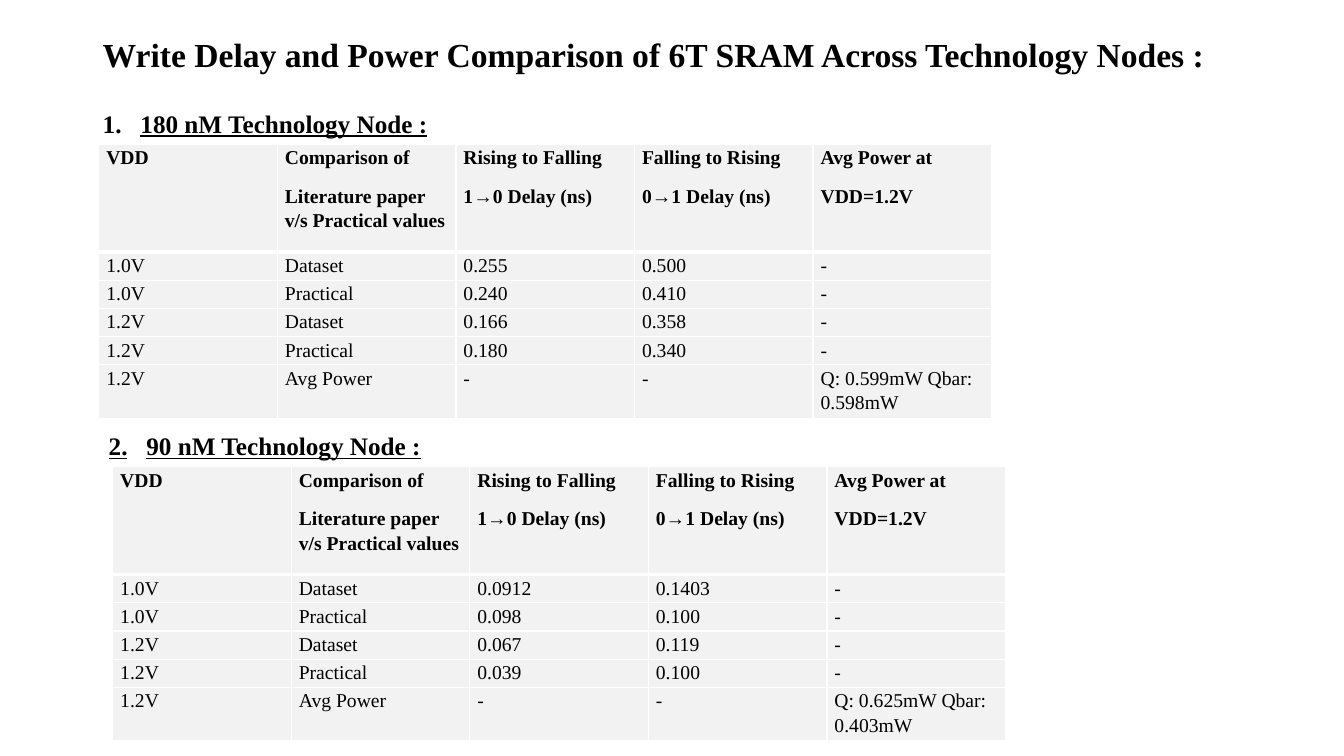
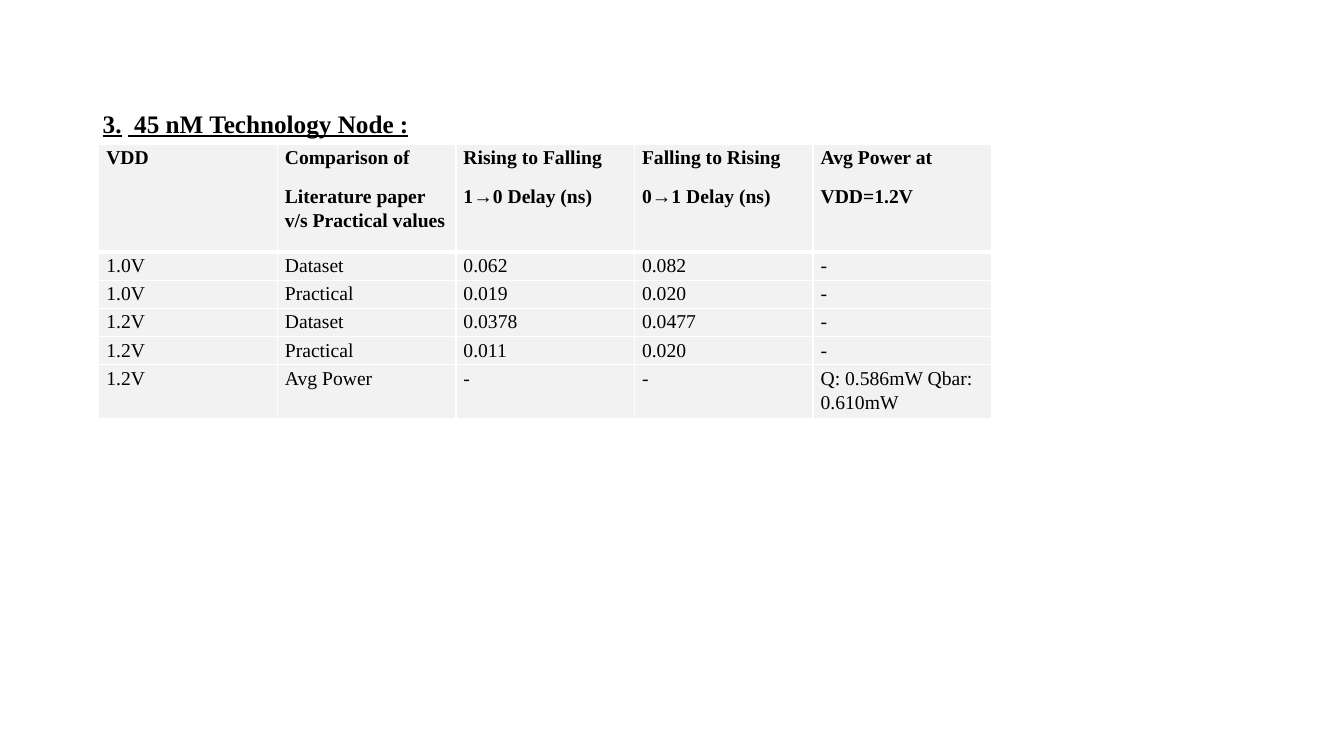
from pptx import Presentation
from pptx.dml.color import RGBColor
from pptx.enum.text import MSO_ANCHOR
from pptx.oxml.ns import qn
from pptx.util import Cm, Pt
from lxml import etree

MIDDLE = MSO_ANCHOR.MIDDLE
FONT = "Times New Roman"
COLORS = {"text": "000000", "cell": "F2F2F2", "border": "FFFFFF"}

TITLE = "Write Delay and Power Comparison of 6T SRAM Across Technology Nodes :"
HEADER = [
    "VDD",
    "Comparison of\nLiterature paper v/s Practical values",
    "Rising to Falling\n1→0 Delay (ns)",
    "Falling to Rising\n0→1 Delay (ns)",
    "Avg Power at\nVDD=1.2V",
]
MEASUREMENTS = [("1.0V", "Dataset"), ("1.0V", "Practical"),
                ("1.2V", "Dataset"), ("1.2V", "Practical")]

# heading: number, gap, text; an empty number means automatic numbering
NODE_180 = {
    "heading": ("", "", "180 nM Technology Node :"),
    "delays": [("0.255", "0.500"), ("0.240", "0.410"),
               ("0.166", "0.358"), ("0.180", "0.340")],
    "power": "Q: 0.599mW Qbar: 0.598mW",
}
NODE_90 = {
    "heading": ("2.", "\t", "90 nM Technology Node :"),
    "delays": [("0.0912", "0.1403"), ("0.098", "0.100"),
               ("0.067", "0.119"), ("0.039", "0.100")],
    "power": "Q: 0.625mW Qbar: 0.403mW",
}
NODE_45 = {
    "heading": ("3.", " ", " 45 nM Technology Node :"),
    "delays": [("0.062", "0.082"), ("0.019", "0.020"),
               ("0.0378", "0.0477"), ("0.011", "0.020")],
    "power": "Q: 0.586mW Qbar: 0.610mW",
}

# positions in cm: heading left, table left, table top
UPPER = (2.34, 2.49, 3.63)
LOWER = (2.49, 2.84, 11.76)
SLIDES = [
    (TITLE, [(NODE_180, UPPER), (NODE_90, LOWER)]),
    (None, [(NODE_45, UPPER)]),
]

COL_WIDTH = 4.5
ROW_HEIGHTS = [2.72] + [0.71] * len(MEASUREMENTS) + [1.35]
HEADING_RISE = 1.03
HANGING = Cm(0.95)


def style_run(r, size, bold=True, underline=False):
    r.font.name = FONT
    r.font.size = Pt(size)
    r.font.bold = bold
    r.font.underline = underline
    r.font.color.rgb = RGBColor.from_string(COLORS["text"])


def add_box(s, left, top, width, height):
    tf = s.shapes.add_textbox(Cm(left), Cm(top), Cm(width), Cm(height)).text_frame
    tf.word_wrap = True
    return tf


def add_title(s, text):
    tf = add_box(s, 2.34, 0.03, 30.89, 2.79)
    tf.vertical_anchor = MIDDLE
    tf.text = text
    p = tf.paragraphs[0]
    p.line_spacing = 0.9
    style_run(p.runs[0], 24)


def add_heading(s, heading, left, top):
    number, gap, text = heading
    p = add_box(s, left, top, 11.28, 1.02).paragraphs[0]
    pPr = p._p.get_or_add_pPr()
    pPr.set("marL", str(HANGING))
    pPr.set("indent", str(-HANGING))
    if not number:
        etree.SubElement(pPr, qn("a:buFont"), typeface="+mj-lt")
        etree.SubElement(pPr, qn("a:buAutoNum"), type="arabicPeriod")
    for part in filter(None, heading):
        r = p.add_run()
        r.text = part
        style_run(r, 18, underline=part != gap)


def set_borders(cell, top, bottom):
    """Draw the four cell borders; top and bottom are widths in points."""
    tcPr = cell._tc.get_or_add_tcPr()
    sides = [("L", 1), ("R", 1), ("T", top), ("B", bottom)]
    for i, (side, width) in enumerate(sides):
        ln = etree.Element(qn(f"a:ln{side}"), w=str(Pt(width)))
        fill = etree.SubElement(ln, qn("a:solidFill"))
        etree.SubElement(fill, qn("a:srgbClr"), val=COLORS["border"])
        tcPr.insert(i, ln)


def fill_cell(cell, text, row):
    cell.margin_left = cell.margin_right = Cm(0.19)
    cell.margin_top = cell.margin_bottom = 0
    cell.fill.solid()
    cell.fill.fore_color.rgb = RGBColor.from_string(COLORS["cell"])
    set_borders(cell, top=3 if row == 1 else 1, bottom=3 if row == 0 else 1)
    cell.text_frame.text = text
    for p in cell.text_frame.paragraphs:
        p.line_spacing = 1.14
        p.space_after = Pt(10)
        for r in p.runs:
            style_run(r, 14, bold=row == 0)


def add_node_table(s, node, left, top):
    rows = [HEADER]
    rows += [(*labels, *delays, "-")
             for labels, delays in zip(MEASUREMENTS, node["delays"])]
    rows.append(("1.2V", "Avg Power", "-", "-", node["power"]))
    table = s.shapes.add_table(
        len(rows), len(HEADER), Cm(left), Cm(top),
        Cm(COL_WIDTH * len(HEADER)), Cm(sum(ROW_HEIGHTS))).table
    for column in table.columns:
        column.width = Cm(COL_WIDTH)
    for i, (values, height) in enumerate(zip(rows, ROW_HEIGHTS)):
        table.rows[i].height = Cm(height)
        for j, text in enumerate(values):
            fill_cell(table.cell(i, j), text, i)


def main():
    prs = Presentation()
    prs.slide_width, prs.slide_height = Cm(33.87), Cm(19.05)
    for title, nodes in SLIDES:
        s = prs.slides.add_slide(prs.slide_layouts[6])
        if title:
            add_title(s, title)
        for node, (heading_left, table_left, table_top) in nodes:
            add_heading(s, node["heading"], heading_left, table_top - HEADING_RISE)
            add_node_table(s, node, table_left, table_top)
    prs.save("out.pptx")


if __name__ == "__main__":
    main()
